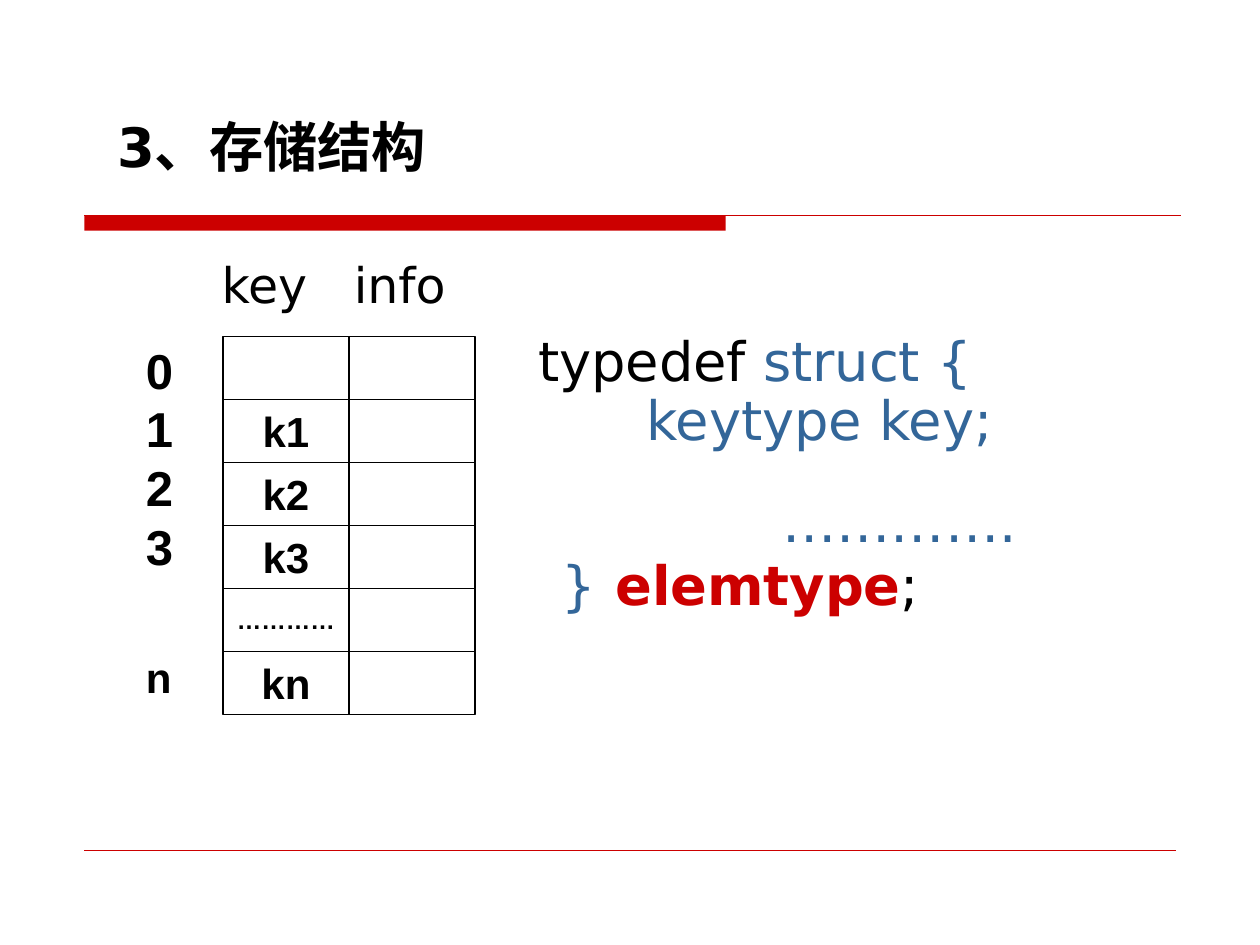
from lxml.etree import SubElement
from pptx import Presentation
from pptx.dml.color import RGBColor
from pptx.enum.shapes import MSO_CONNECTOR, MSO_SHAPE
from pptx.enum.text import MSO_ANCHOR, MSO_AUTO_SIZE, PP_ALIGN
from pptx.oxml.ns import qn
from pptx.util import Inches, Pt

BLACK, WHITE, RED, BLUE = "000000", "FFFFFF", "CC0000", "336699"
CODE = [
    (0, 0, [("typedef ", BLACK, False), ("struct {", BLUE, False)]),
    (0.86, 7.7, [("keytype key;", BLUE, False)]),
    (1.94, 32, [("………….", BLUE, False)]),
    (0.19, 10, [("}", BLUE, False), (" elemtype", RED, True), (";", BLACK, False)]),
]
KEYS = ["", "k1", "k2", "k3", "…………", "kn"]
INDEXES = [("0", 28, 0), ("1", 28, 0), ("2", 28, 0), ("3", 28, 0), ("n", 24, 43.7)]


def colour(value):
    return RGBColor.from_string(value)


def place(shape, left, top, width, height):
    shape.left, shape.top = Inches(left), Inches(top)
    shape.width, shape.height = Inches(width), Inches(height)


def prepare(frame, wrap=True, anchor=MSO_ANCHOR.TOP):
    frame.word_wrap = wrap
    frame.auto_size = MSO_AUTO_SIZE.NONE
    frame.vertical_anchor = anchor
    frame.margin_left = frame.margin_right = Inches(0.1)
    frame.margin_top = frame.margin_bottom = Inches(0.05)


def next_para(frame, first):
    return frame.paragraphs[0] if first else frame.add_paragraph()


def write(para, text, size=28, font="DejaVu Sans", fill=BLACK, bold=False,
          align=PP_ALIGN.LEFT, spacing=1.0, before=0):
    para.alignment = align
    para.line_spacing = spacing
    para.space_before = Pt(before)
    span = para.add_run()
    span.text = text
    span.font.size = Pt(size)
    span.font.name = font
    span.font.bold = bold
    span.font.color.rgb = colour(fill)


def add_rectangle(page, left, top, width, height, fill, line=None):
    box = page.shapes.add_shape(MSO_SHAPE.RECTANGLE, Inches(left), Inches(top),
                                Inches(width), Inches(height))
    box.shadow.inherit = False
    box.fill.solid()
    box.fill.fore_color.rgb = colour(fill)
    if line:
        box.line.color.rgb = colour(line)
        box.line.width = Pt(0.75)
    else:
        box.line.fill.background()
    return box


def add_rule(page, left, right, top, weight):
    rule = page.shapes.add_connector(MSO_CONNECTOR.STRAIGHT, Inches(left),
                                     Inches(top), Inches(right), Inches(top))
    rule.line.color.rgb = colour(RED)
    rule.line.width = Pt(weight)
    SubElement(rule._element.spPr, qn("a:effectLst"))


def add_rules(page, left, top, width, height):
    add_rectangle(page, left, top, 5.09, 0.12, RED)
    add_rule(page, left, left + width, top, 0.75)
    add_rule(page, left, left + width - 0.04, top + height, 0.25)


def add_title(page, left, top, width, height):
    title = page.shapes.title
    place(title, left, top, width, height)
    prepare(title.text_frame)
    write(title.text_frame.paragraphs[0], "3、存储结构", size=31, bold=True, spacing=0.7)


def add_code(page, left, top, width, height):
    body = page.placeholders[1]
    place(body, left, top, width, height)
    prepare(body.text_frame)
    for number, (indent, before, spans) in enumerate(CODE):
        para = next_para(body.text_frame, number == 0)
        properties = para._p.get_or_add_pPr()
        properties.set("marL", str(Inches(indent)))
        properties.set("indent", "0")
        SubElement(properties, qn("a:buNone"))
        for text, fill, bold in spans:
            write(para, text, size=31, fill=fill, bold=bold, spacing=0.7, before=before)


def add_text_box(page, left, top, width, height):
    box = page.shapes.add_textbox(Inches(left), Inches(top), Inches(width), Inches(height))
    prepare(box.text_frame)
    return box.text_frame


def add_storage(page, left, top, width, height):
    cell_width, cell_height = width / 2, height / len(KEYS)
    for heading, offset in (("key", -0.11), ("info", 0.94)):
        frame = add_text_box(page, left + offset, top - 0.57, 1.05, 0.5)
        write(frame.paragraphs[0], heading, spacing=0.7)
    for column, values in enumerate((KEYS, [""] * len(KEYS))):
        for row, value in enumerate(values):
            cell = add_rectangle(page, left + column * cell_width, top + row * cell_height,
                                 cell_width, cell_height, WHITE, line=BLACK)
            if value:
                prepare(cell.text_frame, wrap=False, anchor=MSO_ANCHOR.MIDDLE)
                write(cell.text_frame.paragraphs[0], value, font="Arial", bold=True,
                      size=14 if value.startswith("…") else 24, align=PP_ALIGN.CENTER)
    frame = add_text_box(page, left - 0.71, top - 0.02, 0.73, height + 0.4)
    for number, (index, size, before) in enumerate(INDEXES):
        write(next_para(frame, number == 0), index, size=size, font="Arial",
              bold=True, before=before)


def main():
    deck = Presentation()
    deck.slide_width, deck.slide_height = Inches(10), Inches(7.5)
    page = deck.slides.add_slide(deck.slide_layouts[1])
    page.background.fill.solid()
    page.background.fill.fore_color.rgb = colour(WHITE)
    add_rules(page, 0.67, 1.71, 8.7, 5.04)
    add_title(page, 0.83, 0.99, 8.5, 0.6)
    add_code(page, 4.17, 2.69, 5.2, 2.5)
    add_storage(page, 1.77, 2.67, 2, 3)
    deck.save("out.pptx")


if __name__ == "__main__":
    main()
